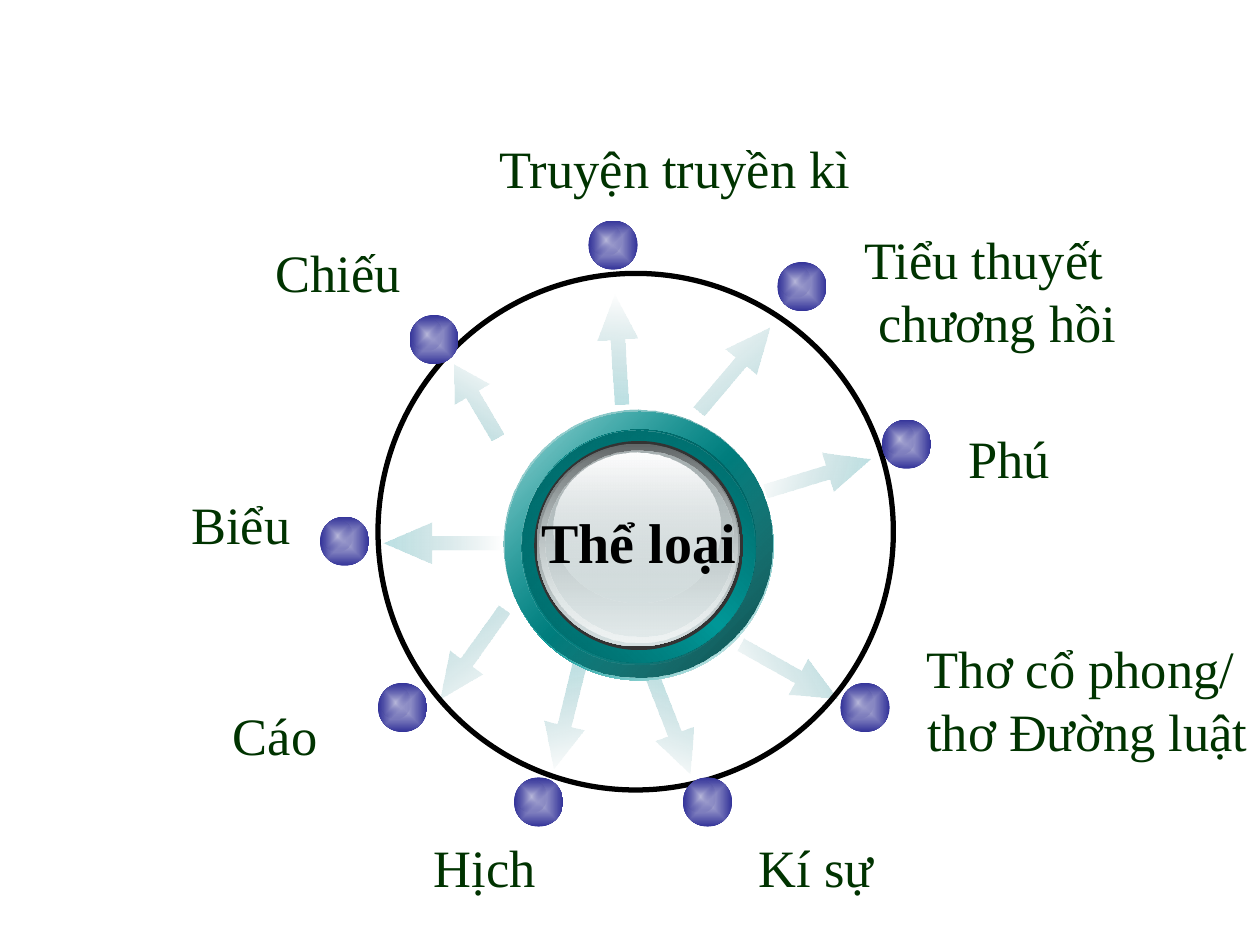
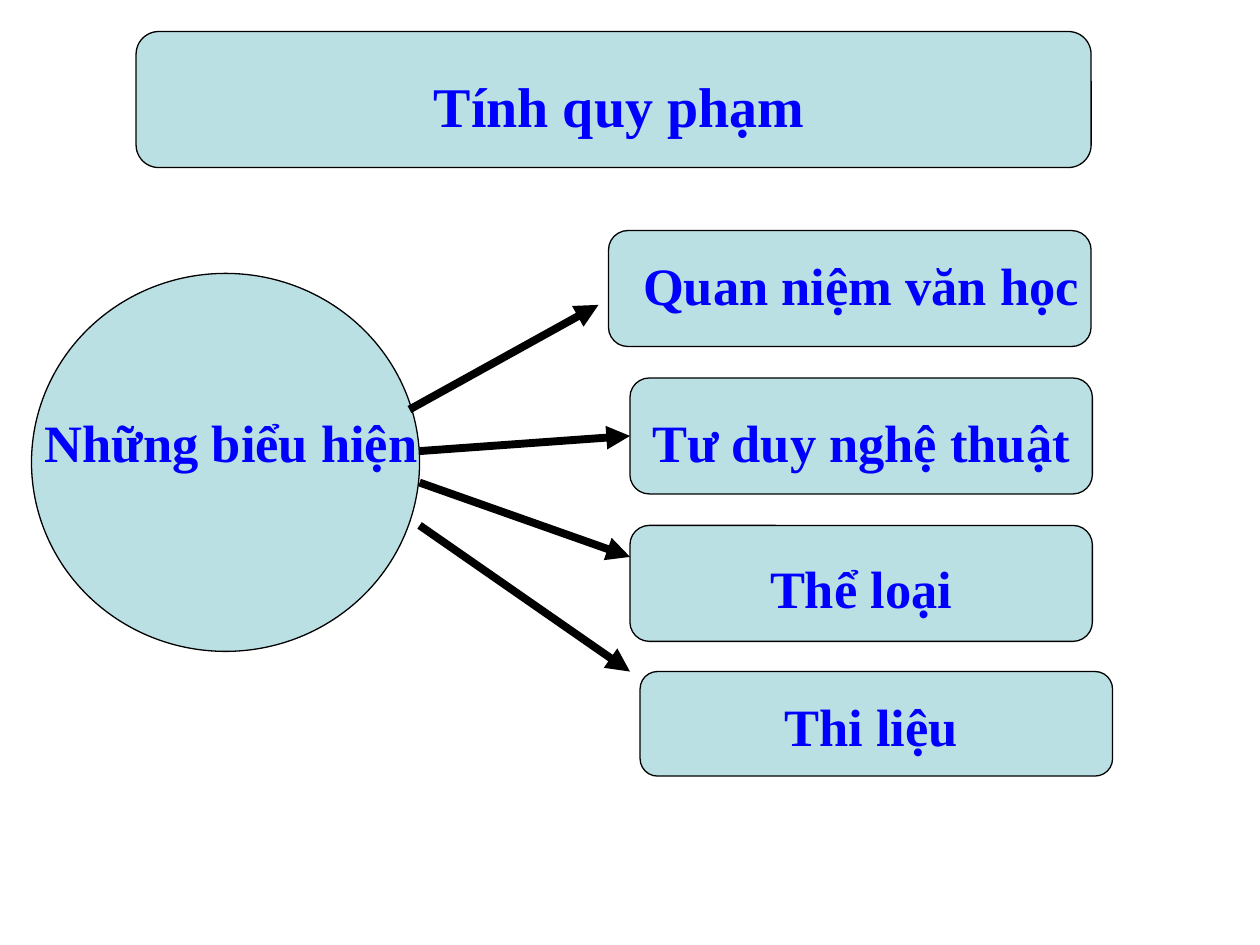
from lxml import etree
from pptx import Presentation
from pptx.dml.color import RGBColor
from pptx.enum import shapes, text
from pptx.oxml import ns
from pptx.util import Inches, Pt

FONT = "Times New Roman"
BLACK = RGBColor(0x00, 0x00, 0x00)
CHARCOAL = RGBColor(0x33, 0x33, 0x33)
DARK_GREEN = RGBColor(0x00, 0x33, 0x00)
BLUE = RGBColor(0x00, 0x00, 0xFF)
PALE_TEAL = RGBColor(0xBB, 0xE0, 0xE3)
FADED_TEAL = RGBColor(0xA5, 0xC6, 0xC9)
LILAC = RGBColor(0xB9, 0xB9, 0xDB)
INDIGO = RGBColor(0x33, 0x33, 0x99)
WHITE = RGBColor(0xFE, 0xFE, 0xFE)
TEAL = RGBColor(0x00, 0x99, 0x99)
DEEP_TEAL = RGBColor(0x00, 0x46, 0x46)
RIM_TEAL = RGBColor(0x00, 0x52, 0x52)
EDGE_TEAL = RGBColor(0x00, 0x60, 0x60)
SLATE = RGBColor(0x62, 0x67, 0x68)
SILVER = RGBColor(0xD6, 0xE1, 0xE2)
MIST = RGBColor(0xEF, 0xF3, 0xF3)
STEEL = RGBColor(0xA8, 0xB1, 0xB2)

OVAL = shapes.MSO_SHAPE.OVAL
LEFT, CENTER, RIGHT = text.PP_ALIGN.LEFT, text.PP_ALIGN.CENTER, text.PP_ALIGN.RIGHT

ARROWS = [
    (4.47, 2.61, 0.87, 266.4), (4.91, 5.59, 0.83, 69.2), (3.44, 3.02, 0.67, 239.5),
    (3.31, 5.03, 0.87, 125.6), (5.83, 5.17, 0.87, 28.9), (3.04, 4.15, 0.94, 180),
    (4.06, 5.52, 0.87, 103.6), (5.39, 2.77, 0.87, 309.9), (6.06, 3.61, 0.87, 343.2),
]
BEADS = [
    (3.25, 2.5), (2.54, 4.1), (3, 5.42), (4.67, 1.75), (5.42, 6.17),
    (4.08, 6.17), (6.17, 2.08), (7, 3.33), (6.67, 5.42),
]
GENRES = [
    (["Chiếu"], (2.09, 1.86, 1.4, 0.6), LEFT, True),
    (["Thơ cổ phong/ ", "thơ Đường luật"], (7.08, 5, 2.92, 1.1), RIGHT, True),
    (["Biểu"], (1.42, 3.86, 1.2, 0.6), LEFT, True),
    (["Cáo"], (1.75, 5.53, 1.1, 0.6), LEFT, True),
    (["Truyện truyền kì"], (3.85, 1.03, 3, 0.6), RIGHT, False),
    (["Kí sự"], (5.92, 6.58, 1.11, 0.6), RIGHT, False),
    (["Tiểu thuyết ", "chương hồi"], (6.75, 1.75, 2.21, 1.1), RIGHT, False),
    (["Phú"], (7.58, 3.33, 0.85, 0.6), RIGHT, False),
    (["Hịch"], (3.34, 6.58, 1.01, 0.6), RIGHT, False),
]
HUB_LAYERS = [
    ((4.01, 3.27, 2.13, 2.13), [(0, WHITE, 100), (50, TEAL, 100), (100, WHITE, 100)], 225),
    ((4, 3.25, 2.13, 2.13), [(0, DEEP_TEAL, 100), (100, TEAL, 32)], 225),
    ((4.15, 3.41, 1.85, 1.85), [(0, RIM_TEAL, 100), (50, TEAL, 100), (100, RIM_TEAL, 100)], 135),
    ((4.14, 3.42, 1.85, 1.85), [(0, TEAL, 0), (100, EDGE_TEAL, 100)], 225),
    ((4.24, 3.5, 1.66, 1.66), [(0, CHARCOAL, 100), (100, CHARCOAL, 100)], 0),
    ((4.26, 3.52, 1.61, 1.61), [(0, SLATE, 100), (100, SILVER, 100)], 90),
    ((4.28, 3.53, 1.57, 1.57), [(0, SILVER, 0), (100, MIST, 100)], 90),
    ((4.33, 3.58, 1.49, 1.47), [(0, STEEL, 100), (100, SILVER, 48)], 90),
    ((4.39, 3.59, 1.33, 1.19), [(0, WHITE, 100), (100, SILVER, 38)], 90),
]
ASPECTS = [
    ("Quan niệm văn học", (4.83, 1.83, 3.83, 0.92), (5.17, 1.92)),
    ("Tư duy nghệ thuật", (5, 3, 3.67, 0.92), (5.17, 3.17)),
    ("Thể loại", (5, 4.17, 3.67, 0.92), (5.17, 4.33)),
    ("Thi liệu", (5.08, 5.33, 3.75, 0.83), (5.25, 5.42)),
]
LINKS = [
    ((3.25, 3.25), (4.75, 2.42)), ((3.33, 3.58), (5, 3.46)),
    ((3.33, 3.83), (5, 4.42)), ((3.33, 4.17), (5, 5.33)),
]


def inches(values):
    return [Inches(value) for value in values]


def add_plain_shape(container, kind, box):
    shape = container.shapes.add_shape(kind, *inches(box))
    shape.shadow.inherit = False
    shape.line.fill.background()
    return shape


def fill_gradient(shape, stops, angle=None):
    shape.fill.background()
    no_fill = shape.element.spPr.find(ns.qn("a:noFill"))
    gradient = etree.Element(ns.qn("a:gradFill"), rotWithShape="0")
    stop_list = etree.SubElement(gradient, ns.qn("a:gsLst"))
    for position, color, opacity in stops:
        stop = etree.SubElement(stop_list, ns.qn("a:gs"), pos=str(position * 1000))
        shade = etree.SubElement(stop, ns.qn("a:srgbClr"), val=str(color))
        if opacity < 100:
            etree.SubElement(shade, ns.qn("a:alpha"), val=str(opacity * 1000))
    if angle is None:
        route = etree.SubElement(gradient, ns.qn("a:path"), path="rect")
        etree.SubElement(route, ns.qn("a:fillToRect"), {side: "50000" for side in "ltrb"})
    else:
        etree.SubElement(gradient, ns.qn("a:lin"), ang=str(round(angle * 60000)), scaled="1")
    shape.element.spPr.replace(no_fill, gradient)


def write_lines(frame, lines, size, color, align, bold=False):
    for index, line in enumerate(lines):
        paragraph = frame.paragraphs[0] if index == 0 else frame.add_paragraph()
        paragraph.alignment = align
        run = paragraph.add_run()
        run.text = line
        run.font.name = FONT
        run.font.size = Pt(size)
        run.font.bold = bold
        run.font.color.rgb = color


def add_label(slide, lines, box, size, color, align, wrap=False, bold=False):
    frame = slide.shapes.add_textbox(*inches(box)).text_frame
    frame.word_wrap = wrap
    frame.auto_size = text.MSO_AUTO_SIZE.SHAPE_TO_FIT_TEXT
    write_lines(frame, lines, size, color, align, bold)


def format_heading(frame, line, size):
    frame.word_wrap = False
    frame.auto_size = text.MSO_AUTO_SIZE.NONE
    frame.vertical_anchor = text.MSO_ANCHOR.MIDDLE
    write_lines(frame, [line], size, BLUE, CENTER, bold=True)


def add_heading(slide, line, position):
    textbox = slide.shapes.add_textbox(*inches((*position, 3.33, 0.67)))
    format_heading(textbox.text_frame, line, 30)


def add_ray(slide, left, top, length, rotation):
    arrow = add_plain_shape(slide, shapes.MSO_SHAPE.RIGHT_ARROW, (left, top, length, 0.32))
    arrow.adjustments[0] = 0.35
    arrow.adjustments[1] = length * 1.28
    arrow.rotation = rotation
    fill_gradient(arrow, [(0, PALE_TEAL, 100), (100, FADED_TEAL, 0)], (180 - rotation) % 360)


def add_bead(slide, left, top):
    group = slide.shapes.add_group_shape()
    ball = add_plain_shape(group, OVAL, (left, top, 0.39, 0.39))
    fill_gradient(ball, [(0, LILAC, 100), (100, INDIGO, 100)])
    shine = add_plain_shape(group, OVAL, (left + 0.02, top + 0.03, 0.24, 0.25))
    fill_gradient(shine, [(0, LILAC, 100), (100, INDIGO, 0)])


def add_panel(slide, kind, box):
    panel = add_plain_shape(slide, kind, box)
    panel.fill.solid()
    panel.fill.fore_color.rgb = PALE_TEAL
    panel.line.color.rgb = BLACK
    panel.line.width = Pt(0.75)
    return panel


def add_link(slide, start, end):
    link = slide.shapes.add_connector(shapes.MSO_CONNECTOR.STRAIGHT, *inches((*start, *end)))
    link.line.color.rgb = BLACK
    link.line.width = Pt(4.5)
    outline = link.element.spPr.find(ns.qn("a:ln"))
    etree.SubElement(outline, ns.qn("a:tailEnd"), type="triangle")
    etree.SubElement(link.element.spPr, ns.qn("a:effectLst"))
    return link


def build_genre_wheel(presentation):
    slide = presentation.slides.add_slide(presentation.slide_layouts[6])
    for ray in ARROWS:
        add_ray(slide, *ray)
    ring = add_plain_shape(slide, OVAL, (3, 2.17, 4.09, 4.1))
    ring.fill.background()
    ring.line.color.rgb = BLACK
    ring.line.width = Pt(3)
    for bead in BEADS:
        add_bead(slide, *bead)
    for lines, box, align, wrap in GENRES:
        add_label(slide, lines, box, 30, DARK_GREEN, align, wrap)
    for box, stops, angle in HUB_LAYERS:
        fill_gradient(add_plain_shape(slide, OVAL, box), stops, angle)
    add_label(slide, ["Thể loại"], (4.07, 3.98, 2, 0.64), 32, BLACK, CENTER, True, True)


def build_convention_map(presentation):
    slide = presentation.slides.add_slide(presentation.slide_layouts[5])
    rounded = shapes.MSO_SHAPE.ROUNDED_RECTANGLE
    add_panel(slide, rounded, (1.08, 0.25, 7.58, 1.08))
    title = slide.shapes.title
    title.left, title.top, title.width, title.height = inches((3.25, 0.5, 3.33, 0.67))
    format_heading(title.text_frame, "Tính quy phạm", 32)
    slide.shapes.element.append(title.element)

    add_panel(slide, OVAL, (0.25, 2.17, 3.08, 3))
    panels = [add_panel(slide, rounded, box) for _, box, _ in ASPECTS]
    links = [add_link(slide, start, end) for start, end in LINKS]
    links[1].end_connect(panels[1], 1)
    add_heading(slide, "Những biểu hiện", (0.17, 3.17))
    for line, _, position in ASPECTS:
        add_heading(slide, line, position)


def main():
    presentation = Presentation()
    presentation.slide_width = Inches(10)
    presentation.slide_height = Inches(7.5)
    build_genre_wheel(presentation)
    build_convention_map(presentation)
    presentation.save("out.pptx")


if __name__ == "__main__":
    main()
